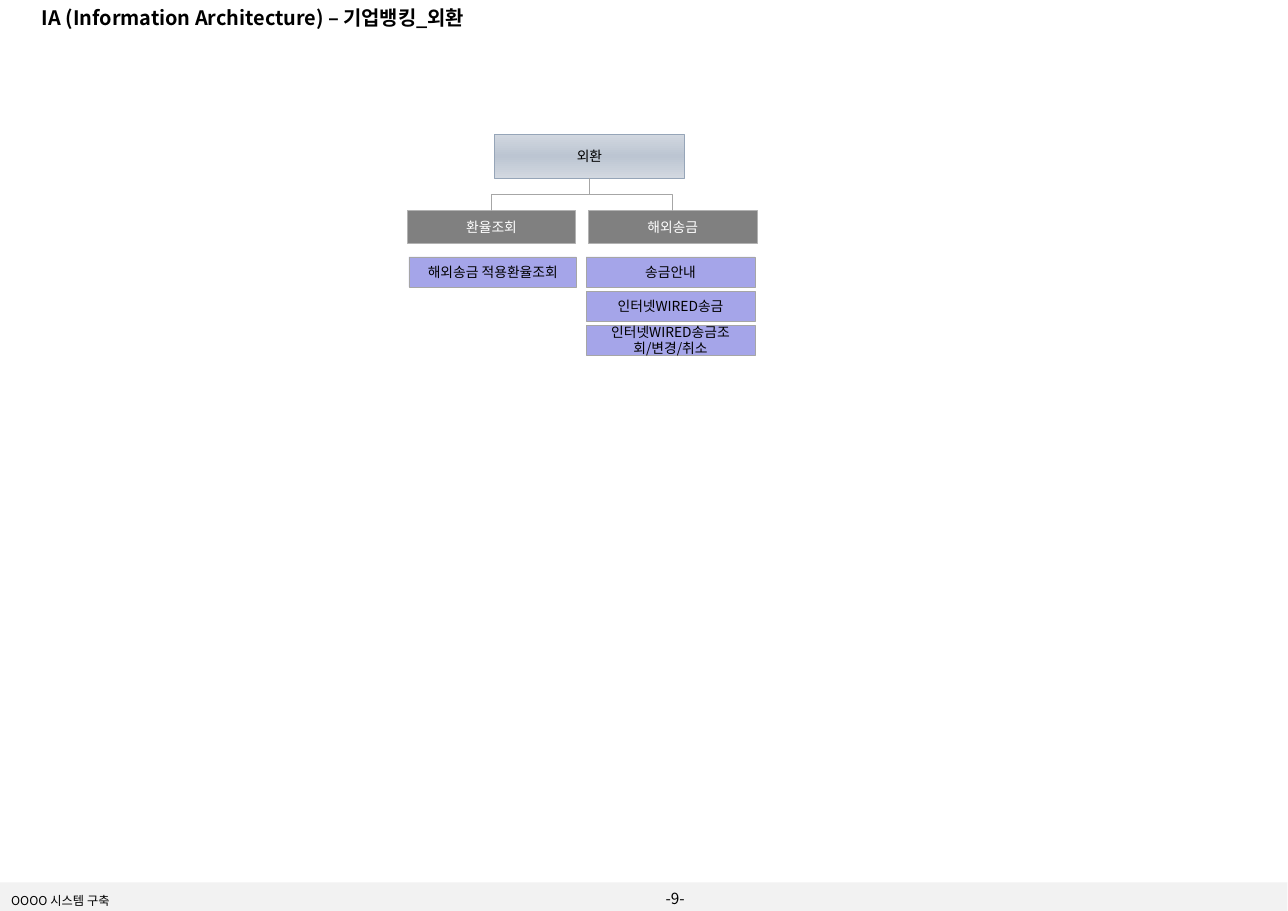
from copy import deepcopy

from lxml.etree import SubElement
from pptx import Presentation
from pptx.dml.color import RGBColor
from pptx.enum.shapes import MSO_CONNECTOR as Connector, MSO_SHAPE as Preset
from pptx.enum.text import MSO_ANCHOR as Anchor, MSO_AUTO_SIZE as AutoSize, PP_ALIGN as Align
from pptx.oxml.ns import qn
from pptx.util import Pt

FONT = "Noto Sans CJK KR"
BLACK = RGBColor(0x00, 0x00, 0x00)
WHITE = RGBColor(0xFF, 0xFF, 0xFF)
FOOTER_GRAY = RGBColor(0xF2, 0xF2, 0xF2)
ROOT_EDGE = RGBColor(0xD2, 0xD8, 0xE0)
ROOT_MIDDLE = RGBColor(0xBC, 0xC5, 0xD2)
ROOT_LINE = RGBColor(0x96, 0xA5, 0xB8)
MENU_GRAY = RGBColor(0x80, 0x80, 0x80)
MENU_LINE = RGBColor(0xB2, 0xB2, 0xB2)
PAGE_LILAC = RGBColor(0xA5, 0xA5, 0xE9)
LINE_GRAY = RGBColor(0xA6, 0xA6, 0xA6)

MENU_TOP, MENU_HEIGHT = 137.6, 21.6
PAGE_TOP, PAGE_HEIGHT, PAGE_PITCH = 167.9, 19.6, 22.3
# menu left, page left, width, menu name, page names
MENUS = [
    (266.4, 267.2, 109.5, "환율조회", ["해외송금 적용환율조회"]),
    (384.4, 383, 110.3, "해외송금",
     ["송금안내", "인터넷WIRED송금", "인터넷WIRED송금조회/변경/취소"]),
]


def write_text(shape, text, size, color=BLACK, align=Align.LEFT, bold=False,
               inset=(8, 3.6), wrap=True):
    frame = shape.text_frame
    frame.text = text
    frame.auto_size = AutoSize.NONE
    frame.word_wrap = wrap
    frame.vertical_anchor = Anchor.MIDDLE
    frame.margin_left = frame.margin_right = Pt(inset[0])
    frame.margin_top = frame.margin_bottom = Pt(inset[1])
    paragraph = frame.paragraphs[0]
    paragraph.alignment = align
    for run in paragraph.runs:
        run.font.name = FONT
        run.font.size = Pt(size)
        run.font.bold = bold
        run.font.color.rgb = color
        SubElement(run.font._element, qn("a:ea"), typeface=FONT)


def add_label(slide, left, top, width, height, text, size, wrap=True):
    label = slide.shapes.add_textbox(Pt(left), Pt(top), Pt(width), Pt(height))
    write_text(label, text, size, wrap=wrap)


def add_box(slide, left, top, width, height, fill, line=None, line_width=0.25):
    box = slide.shapes.add_shape(Preset.RECTANGLE, Pt(left), Pt(top), Pt(width), Pt(height))
    box.shadow.inherit = False
    box.fill.solid()
    box.fill.fore_color.rgb = fill
    if line is None:
        box.line.fill.background()
    else:
        box.line.color.rgb = line
        box.line.width = Pt(line_width)
    return box


def fill_with_band(box, edge, middle):
    """Blend vertically from the edge colour to the middle colour and back."""
    box.fill.gradient()
    box.fill.gradient_angle = 90
    stop_list = box._element.spPr.find(qn("a:gradFill")).find(qn("a:gsLst"))
    stop_list.append(deepcopy(stop_list[0]))
    for stop, position, color in zip(box.fill.gradient_stops, (0, 0.5, 1), (edge, middle, edge)):
        stop.position = position
        stop.color.rgb = color


def add_branch(slide, parent, child):
    """Join bottom centre to top centre with an elbow, turned so it leaves vertically."""
    start_x, start_y = parent.left + parent.width // 2, parent.top + parent.height
    end_x, end_y = child.left + child.width // 2, child.top
    branch = slide.shapes.add_connector(Connector.ELBOW, start_x, start_y, end_x, end_y)
    branch.begin_connect(parent, 2)
    branch.end_connect(child, 0)
    branch.width, branch.height = end_y - start_y, abs(end_x - start_x)
    branch.left = (start_x + end_x - branch.width) // 2
    branch.top = (start_y + end_y - branch.height) // 2
    goes_right = end_x > start_x
    transform = branch._element.spPr.find(qn("a:xfrm"))
    transform.set("rot", str((270 if goes_right else 90) * 60000))
    transform.set("flipH", "1" if goes_right else "0")
    transform.set("flipV", "0")
    branch.line.color.rgb = LINE_GRAY
    branch.line.width = Pt(0.75)
    SubElement(branch._element.spPr, qn("a:effectLst"))


def add_title(slide, text):
    title = slide.shapes.title
    title.left, title.top, title.width, title.height = Pt(19.4), Pt(-0.7), Pt(481.7), Pt(23.8)
    write_text(title, text, 13, bold=True)


def add_footer(slide):
    add_box(slide, -0.7, 576.7, 842, 18.7, FOOTER_GRAY)
    add_label(slide, 427, 578.9, 36, 16.6, "-9-", 10, wrap=False)
    add_label(slide, -0.7, 581, 351.4, 15.1, "OOOO 시스템 구축", 8)


def add_menu_tree(slide):
    root = add_box(slide, 323.3, 87.8, 123.8, 28.8, ROOT_EDGE, ROOT_LINE, 0.75)
    fill_with_band(root, ROOT_EDGE, ROOT_MIDDLE)
    write_text(root, "외환", 9, align=Align.CENTER, inset=(2.9, 2.9))
    for menu_left, page_left, width, name, pages in MENUS:
        menu = add_box(slide, menu_left, MENU_TOP, width, MENU_HEIGHT, MENU_GRAY, MENU_LINE)
        write_text(menu, name, 9, WHITE, Align.CENTER, inset=(0, 0), wrap=False)
        add_branch(slide, root, menu)
        for row, page_name in enumerate(pages):
            page = add_box(slide, page_left, PAGE_TOP + row * PAGE_PITCH, width, PAGE_HEIGHT,
                           PAGE_LILAC, LINE_GRAY)
            write_text(page, page_name, 9, align=Align.CENTER)


def main():
    presentation = Presentation()
    presentation.slide_width, presentation.slide_height = Pt(841.7), Pt(595.4)
    slide = presentation.slides.add_slide(presentation.slide_layouts[5])
    add_footer(slide)
    add_title(slide, "IA (Information Architecture) – 기업뱅킹_외환")
    add_menu_tree(slide)
    presentation.save("out.pptx")


if __name__ == "__main__":
    main()
